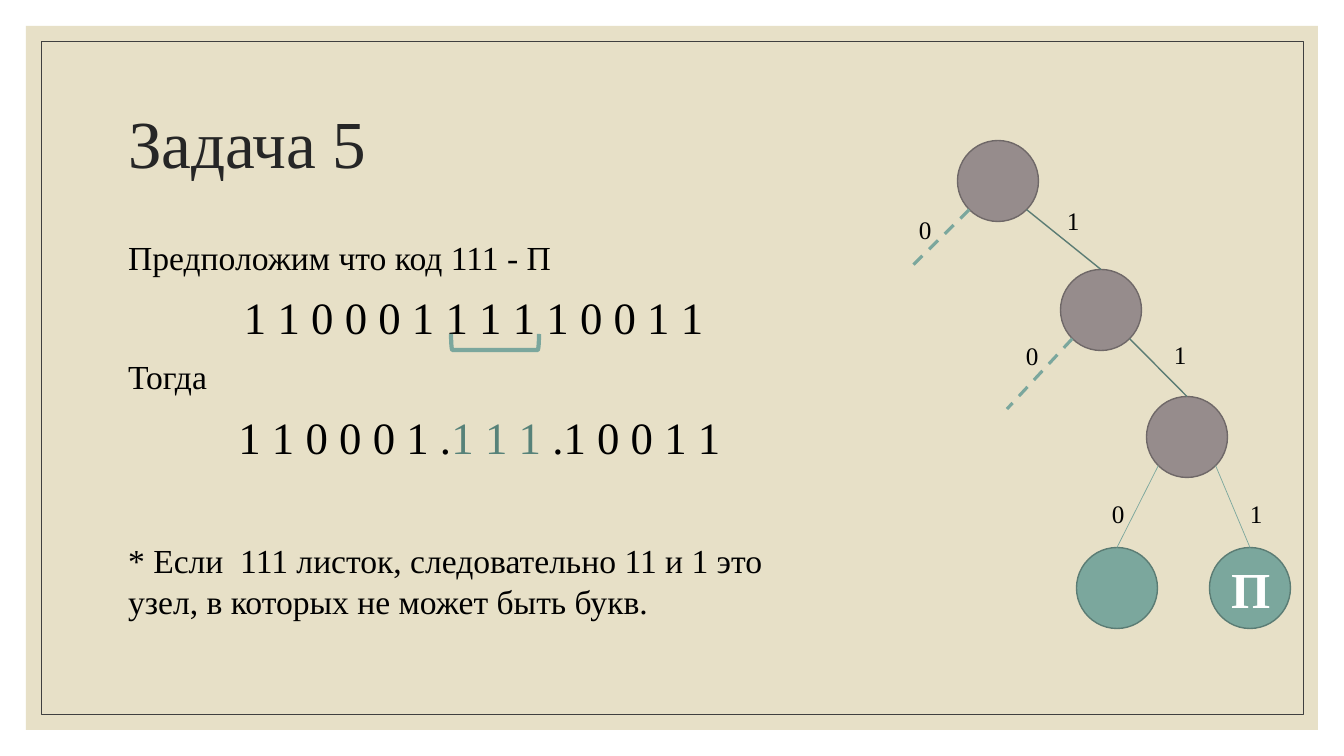
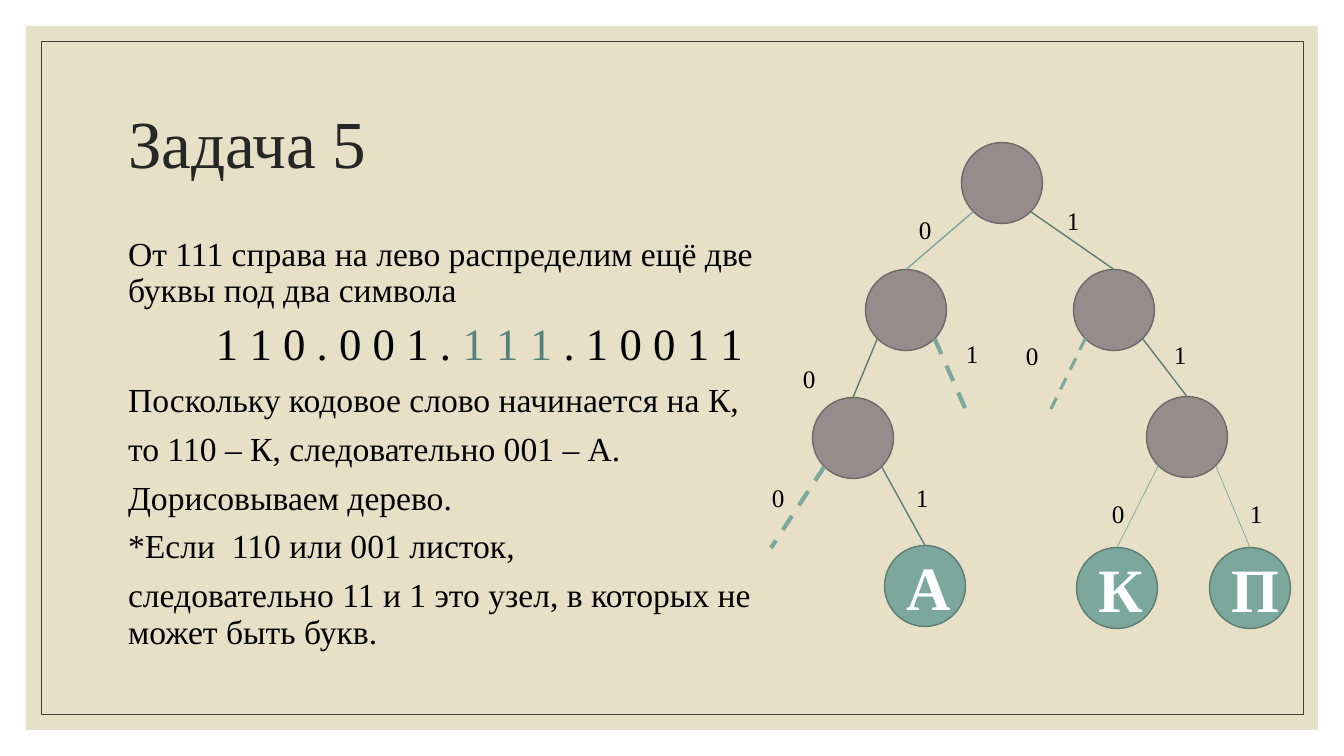
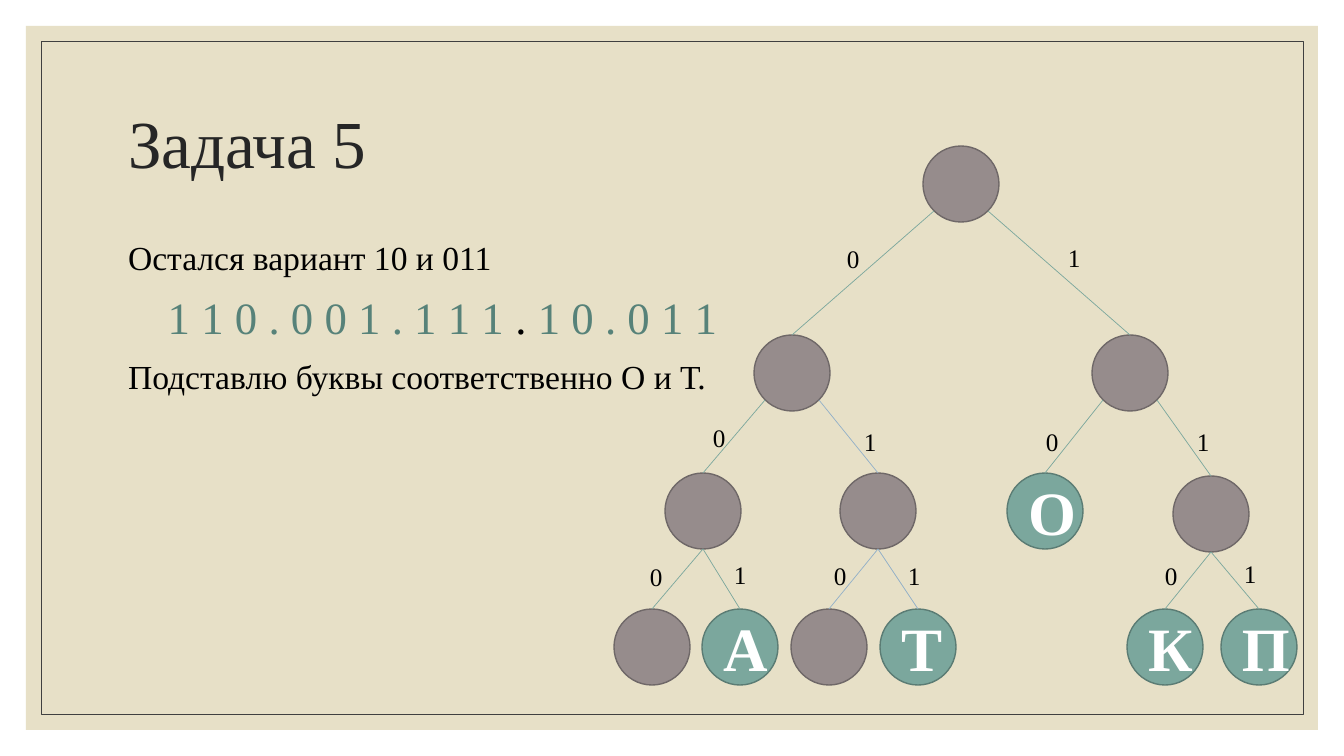
from dataclasses import dataclass, replace
from typing import Any

from lxml import etree
from pptx import Presentation
from pptx.dml.color import RGBColor
from pptx.enum.dml import MSO_LINE
from pptx.enum.shapes import MSO_CONNECTOR, MSO_SHAPE
from pptx.enum.text import MSO_ANCHOR, MSO_AUTO_SIZE, PP_ALIGN
from pptx.oxml.ns import qn
from pptx.slide import Slide
from pptx.util import Emu, Pt

RECT, OVAL, BRACKET = MSO_SHAPE.RECTANGLE, MSO_SHAPE.OVAL, MSO_SHAPE.RIGHT_BRACKET
STRAIGHT, DASH = MSO_CONNECTOR.STRAIGHT, MSO_LINE.DASH
LEFT, CENTER, RIGHT = PP_ALIGN.LEFT, PP_ALIGN.CENTER, PP_ALIGN.RIGHT
TOP, MIDDLE = MSO_ANCHOR.TOP, MSO_ANCHOR.MIDDLE
FIXED, GROW = MSO_AUTO_SIZE.NONE, MSO_AUTO_SIZE.SHAPE_TO_FIT_TEXT

EMU_PER_PX = 914400 / 100.8
Box = tuple[int, int, int, int]
Point = tuple[float, float]

SLIDE_SIZE = (1344, 756)
BAND_BOX: Box = (26, 26, 1292, 704)
FRAME_BOX: Box = (41, 41, 1262, 673)
TITLE_BOX: Box = (118, 71, 1109, 151)
BODY_LEFT, BODY_TOP, BODY_HEIGHT = 118, 232, 433
TITLE = "Задача 5"


@dataclass(frozen=True)
class Theme:
    """Colours and type sizes of the deck."""
    font: str = "Times New Roman"
    band: str = "E7E0C7"
    frame: str = "404040"
    title: str = "262626"
    ink: str = "000000"
    letter: str = "FFFFFF"
    accent: str = "578279"
    knot: str = "968C8C"
    knot_edge: str = "6F6868"
    leaf: str = "7BA79D"
    leaf_edge: str = "5B7C74"
    blue: str = "92B0C8"
    title_size: int = 48
    code_size: int = 32
    body_size: int = 24
    label_size: int = 18


THEME = Theme()


@dataclass(frozen=True)
class Stroke:
    """Colour, width in points and dashing of a line."""
    color: str
    width: float
    dashed: bool = False


THIN = Stroke(THEME.leaf, 0.5)
BLUE = Stroke(THEME.blue, 0.5)
LIGHT = Stroke(THEME.leaf, 1)
DARK = Stroke(THEME.leaf_edge, 1)
ACCENT = Stroke(THEME.accent, 1)
OPEN = Stroke(THEME.leaf, 2.25, True)
OPEN_BOLD = Stroke(THEME.leaf, 3, True)
BRACE = Stroke(THEME.leaf, 3)


@dataclass(frozen=True)
class Branch:
    """Edge to the node of a code; a dashed edge ends without a node."""
    code: str
    end: Point
    label: tuple[int, int]
    stroke: Stroke = THIN
    letter: str = ""
    leaf: bool = False


@dataclass(frozen=True)
class Tree:
    """Code tree; nodes at bottom_depth fork from their lowest point."""
    root: Point
    branches: tuple[Branch, ...]
    diameter: int = 81
    label_size: tuple[int, int] = (24, 26)
    letter_size: int = 44
    bottom_depth: int = -1


@dataclass(frozen=True)
class Paragraph:
    """Body paragraph made of (text, colour) spans."""
    spans: tuple[tuple[str, str], ...]
    size: int = THEME.body_size
    align: PP_ALIGN = LEFT
    before: int = 9


@dataclass(frozen=True)
class Step:
    """Content of one slide."""
    paragraphs: tuple[Paragraph, ...]
    tree: Tree
    body_width: int = 723
    spacing: float = 1.0
    bracket: Box | None = None


def say(text: str, before: int = 9) -> Paragraph:
    """Plain sentence."""
    return Paragraph(((text, THEME.ink),), before=before)


def code(*spans: tuple[str, str]) -> Paragraph:
    """Centred line of binary code."""
    return Paragraph(spans, THEME.code_size, CENTER)


def px(length: float) -> Emu:
    """Pixels to EMU."""
    return Emu(round(length * EMU_PER_PX))


def rgb(color: str) -> RGBColor:
    """Hex text to a colour."""
    return RGBColor.from_string(color)


def apply(target: Any, values: dict[str, Any]) -> None:
    """Set each attribute named in values."""
    for name, value in values.items():
        setattr(target, name, value)


def place(shape: Any, box: Box) -> None:
    """Move and size a shape."""
    apply(shape, dict(zip(("left", "top", "width", "height"), map(px, box))))


def write(paragraph: Any, text: str, size: int, color: str, bold: bool = False) -> None:
    """Append a formatted run."""
    run = paragraph.add_run()
    run.text = text
    apply(run.font, {"name": THEME.font, "size": Pt(size), "bold": bold})
    run.font.color.rgb = rgb(color)


def draw_stroke(line: Any, stroke: Stroke) -> None:
    """Format a line."""
    line.color.rgb = rgb(stroke.color)
    line.width = Pt(stroke.width)
    if stroke.dashed:
        line.dash_style = DASH


def add_figure(slide: Slide, kind: MSO_SHAPE, box: Box, fill: str | None,
               stroke: Stroke | None) -> Any:
    """Add a flat preset shape."""
    figure = slide.shapes.add_shape(kind, *map(px, box))
    figure.shadow.inherit = False
    if fill:
        figure.fill.solid()
        figure.fill.fore_color.rgb = rgb(fill)
    else:
        figure.fill.background()
    if stroke:
        draw_stroke(figure.line, stroke)
    else:
        figure.line.fill.background()
    return figure


def add_edge(slide: Slide, start: Point, end: Point, stroke: Stroke) -> None:
    """Add a straight line without shadow."""
    edge = slide.shapes.add_connector(STRAIGHT, *map(px, (*start, *end)))
    draw_stroke(edge.line, stroke)
    etree.SubElement(edge._element.spPr, qn("a:effectLst"))


def add_node(slide: Slide, center: Point, tree: Tree, branch: Branch | None = None) -> None:
    """Add a knot, or a leaf with its letter."""
    leaf = branch is not None and branch.leaf
    fill, edge = (THEME.leaf, THEME.leaf_edge) if leaf else (THEME.knot, THEME.knot_edge)
    size, (x, y) = tree.diameter, center
    node = add_figure(slide, OVAL, (x - size / 2, y - size / 2, size, size),
                      fill, Stroke(edge, 1))
    if branch and branch.letter:
        paragraph = node.text_frame.paragraphs[0]
        paragraph.alignment = RIGHT if branch.code == "111" else CENTER
        write(paragraph, branch.letter, tree.letter_size, THEME.letter, True)


def add_label(slide: Slide, digit: str, corner: tuple[int, int], size: tuple[int, int]) -> None:
    """Add the digit beside an edge."""
    frame = slide.shapes.add_textbox(*map(px, (*corner, *size))).text_frame
    apply(frame, {"word_wrap": True, "auto_size": GROW})
    write(frame.paragraphs[0], digit, THEME.label_size, THEME.ink)


def fork_point(center: Point, parent: str, digit: str, tree: Tree) -> Point:
    """Point on a node's rim where the edge for a digit starts."""
    x, y = center
    radius = tree.diameter / 2
    if len(parent) == tree.bottom_depth:
        return x, y + radius
    reach = radius * 0.5 ** 0.5
    return x + (reach if digit == "1" else -reach), y + reach


def add_tree(slide: Slide, tree: Tree) -> None:
    """Draw nodes, edges and digits; each code extends its parent's."""
    centers = {"": tree.root} | {branch.code: branch.end for branch in tree.branches}
    add_node(slide, tree.root, tree)
    for branch in tree.branches:
        parent, digit = branch.code[:-1], branch.code[-1]
        start, (x, y) = fork_point(centers[parent], parent, digit, tree), branch.end
        if branch.stroke.dashed:
            end = branch.end
        else:
            end = (x, y - tree.diameter / 2)
            add_node(slide, branch.end, tree, branch)
        add_edge(slide, start, end, branch.stroke)
        add_label(slide, digit, branch.label, tree.label_size)


def add_title(slide: Slide) -> None:
    """Fill the title placeholder."""
    title = slide.shapes.title
    place(title, TITLE_BOX)
    apply(title.text_frame, {"vertical_anchor": MIDDLE, "word_wrap": True, "auto_size": FIXED})
    paragraph = title.text_frame.paragraphs[0]
    apply(paragraph, {"alignment": LEFT, "line_spacing": 0.9})
    write(paragraph, TITLE, THEME.title_size, THEME.title)


def add_body(slide: Slide, step: Step) -> None:
    """Fill the body placeholder with unbulleted paragraphs."""
    body = slide.placeholders[1]
    place(body, (BODY_LEFT, BODY_TOP, step.body_width, BODY_HEIGHT))
    frame = body.text_frame
    apply(frame, {"vertical_anchor": TOP, "word_wrap": True, "auto_size": FIXED})
    for index, content in enumerate(step.paragraphs):
        paragraph = frame.add_paragraph() if index else frame.paragraphs[0]
        apply(paragraph, {"alignment": content.align, "line_spacing": step.spacing,
                          "space_before": Pt(content.before), "space_after": Pt(0)})
        properties = paragraph._p.get_or_add_pPr()
        for name in ("marL", "indent"):
            properties.set(name, "0")
        etree.SubElement(properties, qn("a:buNone"))
        for text, color in content.spans:
            write(paragraph, text, content.size, color)


def add_backdrop(slide: Slide) -> None:
    """Put the band and its frame on the slide master, behind everything."""
    backdrop = (add_figure(slide, RECT, BAND_BOX, THEME.band, None),
                add_figure(slide, RECT, FRAME_BOX, None, Stroke(THEME.frame, 0.5)))
    master_tree = slide.slide_layout.slide_master.shapes.element
    for position, figure in enumerate(backdrop, start=2):
        master_tree.insert(position, figure._element)


INK, HIGHLIGHT = THEME.ink, THEME.accent
NODE_11 = Branch("11", (1187, 437), (1164, 334), DARK)
LEAF_K = Branch("110", (1117, 588), (1102, 493), THIN, "К", True)
LEAF_P = Branch("111", (1250, 588), (1240, 493), THIN, "П", True)

STEPS = (
    Step(
        (
            say("Предположим что код 111 - П"),
            code(("1 1 0 0 0 1 1 1 1 1 0 0 1 1 ", INK)),
            say("Тогда"),
            code(("1 1 0 0 0 1 .", INK), ("1 1 1 ", HIGHLIGHT), (".1 0 0 1 1", INK)),
            say("* Если  111 листок, следовательно 11 и 1 это узел, "
                "в которых не может быть букв.", before=55),
        ),
        Tree((998, 181), (
            Branch("0", (909, 269), (909, 209), OPEN),
            Branch("1", (1101, 310), (1057, 200), DARK),
            Branch("10", (1007, 409), (1016, 335), OPEN),
            NODE_11, replace(LEAF_K, letter=""), LEAF_P,
        ), letter_size=36),
        bracket=(487, 298, 16, 88),
    ),
    Step(
        (
            say("От 111 справа на лево распределим ещё две буквы под два символа"),
            code(("1 1 0 . 0 0 1 . ", INK), ("1 1 1 ", HIGHLIGHT), (". 1 0 0 1 1", INK)),
            say("Поскольку кодовое слово начинается на К, "),
            say("то 110 – К, следовательно 001 – А."),
            say("Дорисовываем дерево."),
            say("*Если  110 или 001 листок, "),
            say("следовательно 11 и 1 это узел, в которых не может быть букв."),
        ),
        Tree((1002, 183), (
            Branch("0", (906, 310), (909, 209), LIGHT),
            Branch("1", (1114, 310), (1057, 200), DARK),
            Branch("00", (853, 438), (793, 358), DARK),
            Branch("01", (965, 408), (956, 333), OPEN_BOLD),
            Branch("10", (1049, 413), (1016, 335), OPEN),
            Branch("000", (771, 548), (762, 477), OPEN_BOLD),
            Branch("001", (925, 586), (906, 477), ACCENT, "А", True),
            NODE_11, LEAF_K, LEAF_P,
        )),
        spacing=0.9,
    ),
    Step(
        (
            say("Остался вариант 10 и 011"),
            code(("1 1 0 . 0 0 1 . 1 1 1 ", HIGHLIGHT), (". ", INK), ("1 0 . 0 1 1", HIGHLIGHT)),
            say("Подставлю буквы соответственно О и Т."),
        ),
        Tree((961, 184), (
            Branch("0", (792, 373), (837, 238)),
            Branch("1", (1130, 373), (1058, 237)),
            Branch("00", (703, 511), (703, 417)),
            Branch("01", (878, 511), (854, 421), BLUE),
            Branch("10", (1045, 511), (1036, 421), THIN, "О", True),
            Branch("11", (1211, 514), (1187, 421)),
            Branch("000", (652, 647), (640, 556)),
            Branch("001", (740, 647), (724, 554), THIN, "А", True),
            Branch("010", (829, 647), (824, 555), BLUE),
            Branch("011", (918, 647), (898, 555), BLUE, "Т", True),
            Branch("110", (1165, 647), (1155, 555), THIN, "К", True),
            Branch("111", (1259, 647), (1234, 553), THIN, "П", True),
        ), diameter=76, label_size=(22, 25), bottom_depth=2),
        body_width=649,
    ),
)


def main() -> None:
    """Build and save the deck."""
    deck = Presentation()
    deck.slide_width, deck.slide_height = map(px, SLIDE_SIZE)
    for number, step in enumerate(STEPS):
        slide = deck.slides.add_slide(deck.slide_layouts[1])
        if number == 0:
            add_backdrop(slide)
        add_title(slide)
        add_body(slide, step)
        add_tree(slide, step.tree)
        if step.bracket:
            add_figure(slide, BRACKET, step.bracket, None, BRACE).rotation = 90
    deck.save("out.pptx")


main()
